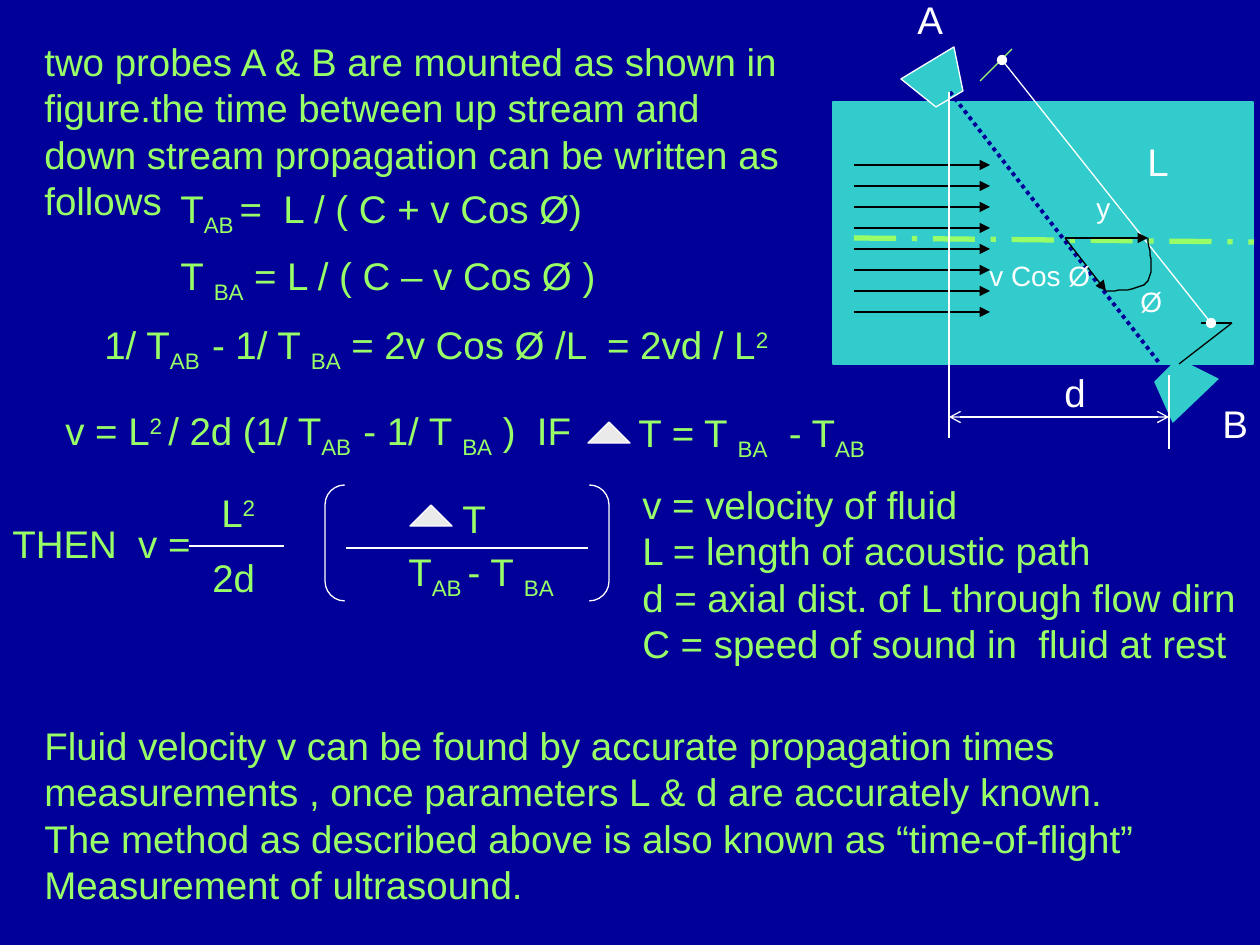
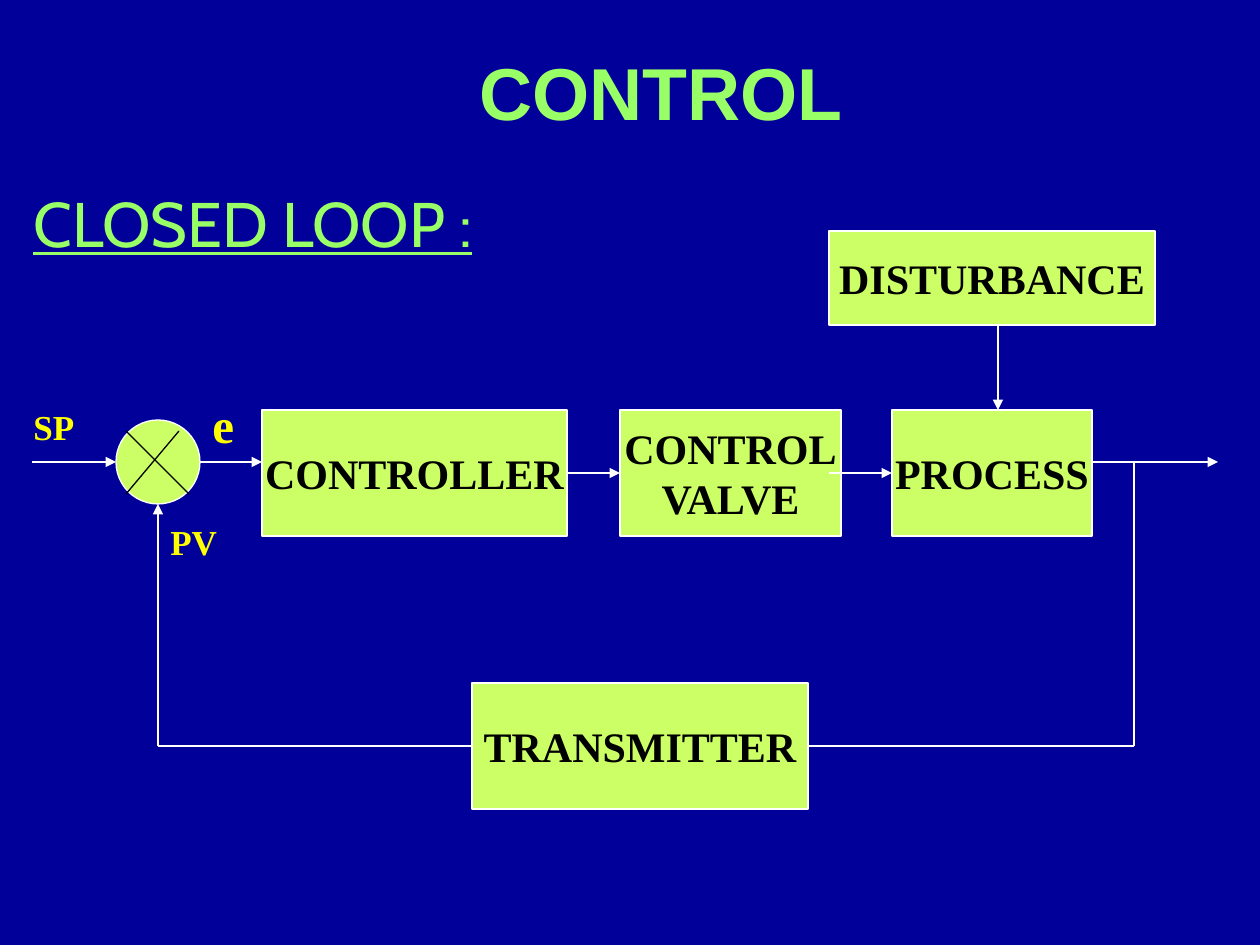
import pptx
import pptx.dml.color
import pptx.enum.dml
import pptx.enum.shapes
import pptx.enum.text
import pptx.util
from pptx.oxml.ns import qn
from lxml import etree

RGBColor = pptx.dml.color.RGBColor
SHAPE = pptx.enum.shapes.MSO_SHAPE
DASH = pptx.enum.dml.MSO_LINE
ANCHOR = pptx.enum.text.MSO_ANCHOR
CENTER = pptx.enum.text.PP_ALIGN.CENTER

NAVY = RGBColor(0x01, 0x01, 0x99)
BEAM_BLUE = RGBColor(0x00, 0x00, 0x99)
GREEN = RGBColor(0x99, 0xFF, 0x66)
LIME = RGBColor(0xCC, 0xFF, 0x66)
TEAL = RGBColor(0x33, 0xCC, 0xCC)
YELLOW = RGBColor(0xFF, 0xFF, 0x00)
GREY = RGBColor(0xEA, 0xEA, 0xEA)
WHITE = RGBColor(0xFF, 0xFF, 0xFF)
BLACK = RGBColor(0x00, 0x00, 0x00)

SANS = "Arial"
SERIF = "Times New Roman"
SCALE = 914400 / 126
LEFT, RIGHT = 1, 3
BASELINES = {"_": "-25000", "^": "30000"}


def emu(*lengths):
    return [round(length * SCALE) for length in lengths]


def style_run(run, size, color, font, bold=False):
    run.font.size = pptx.util.Pt(size)
    run.font.color.rgb = color
    run.font.name = font
    run.font.bold = bold


def write_text(frame, text, size, color, font, bold=False, align=None):
    """Fill a frame; in each line, |_x| is a subscript and |^x| a superscript."""
    for index, line in enumerate(text.split("\n")):
        para = frame.add_paragraph() if index else frame.paragraphs[0]
        para.alignment = align
        for piece in line.split("|"):
            if not piece:
                continue
            run = para.add_run()
            baseline = BASELINES.get(piece[0])
            run.text = piece[1:] if baseline else piece
            style_run(run, size, color, font, bold)
            if baseline:
                run.font._element.set("baseline", baseline)


def add_text(slide, text, place, size=22, color=GREEN, font=SANS, bold=False, wrap=True):
    box = slide.shapes.add_textbox(*emu(*place))
    box.text_frame.word_wrap = wrap
    write_text(box.text_frame, text, size, color, font, bold)
    return box


def paint(shape, fill, line):
    shape.shadow.inherit = False
    if fill is None:
        shape.fill.background()
    else:
        shape.fill.solid()
        shape.fill.fore_color.rgb = fill
    shape.line.color.rgb = line
    shape.line.width = pptx.util.Pt(0.75)


def add_shape(slide, kind, place, fill=None, line=WHITE):
    shape = slide.shapes.add_shape(kind, *emu(*place))
    paint(shape, fill, line)
    return shape


def add_outline(slide, points, fill=None, line=WHITE, close=True):
    builder = slide.shapes.build_freeform(*points[0], scale=SCALE)
    builder.add_line_segments(points[1:], close=close)
    paint(builder.convert_to_shape(), fill, line)


def add_line(slide, start, end, color=WHITE, width=0.75, dash=None, head=None, tail=None):
    line = slide.shapes.add_connector(
        pptx.enum.shapes.MSO_CONNECTOR.STRAIGHT, *emu(*start, *end))
    line.line.color.rgb = color
    line.line.width = pptx.util.Pt(width)
    if dash:
        line.line.dash_style = dash
    properties = line._element.spPr
    outline = properties.find(qn("a:ln"))
    for tag, arrow in (("a:headEnd", head), ("a:tailEnd", tail)):
        if arrow:
            etree.SubElement(outline, qn(tag), type=arrow)
    etree.SubElement(properties, qn("a:effectLst"))
    return line


def add_block(slide, text, place):
    block = add_shape(slide, SHAPE.RECTANGLE, place, LIME)
    frame = block.text_frame
    frame.word_wrap = False
    frame.vertical_anchor = ANCHOR.MIDDLE
    write_text(frame, text, 24, BLACK, SERIF, True, CENTER)
    return block


def bezier(p0, p1, p2, p3, steps=12):
    """Points along a cubic curve, without its first point."""
    points = []
    for step in range(1, steps + 1):
        t = step / steps
        u = 1 - t
        weights = (u ** 3, 3 * u * u * t, 3 * u * t * t, t ** 3)
        points.append(tuple(
            sum(w * p[axis] for w, p in zip(weights, (p0, p1, p2, p3)))
            for axis in (0, 1)))
    return points


def add_equations(slide):
    add_text(slide, "two probes A & B are mounted as shown in figure.the time between "
             "up stream and down stream propagation can be written as follows",
             (32, 32, 766, 198))
    add_text(slide, "T|_AB |=  L / ( C + v Cos Ø)", (168, 179, 546, 66))
    add_text(slide, "T |_BA| = L / ( C – v Cos Ø )", (168, 246, 464, 66))
    add_text(slide, "1/ T|_AB  |- 1/ T |_BA| = 2v Cos Ø /L  = 2vd / L|^2", (92, 315, 810, 66))
    add_text(slide, "v = L|^2 |/ 2d (1/ T|_AB  |- 1/ T |_BA| )  IF", (53, 401, 958, 66))
    add_text(slide, "v = velocity of fluid\nL = length of acoustic path\n"
             "d = axial dist. of L through flow dirn\n"
             "C = speed of sound in  fluid at rest", (630, 475, 640, 198))
    add_text(slide, "Fluid velocity v can be found by accurate propagation times "
             "measurements , once parameters L & d are accurately known.\n"
             "The method as described above is also known as “time-of-flight”\n"
             "Measurement of ultrasound.", (32, 716, 1207, 198))

    add_text(slide, "L|^2", (209, 483, 90, 59))
    for text, place in (
            ("T = T |_BA|  - T|_AB", (626, 403, 261, 66)),
            ("THEN  v =", (0, 514, 214, 59)),
            ("2d", (200, 548, 68, 59)),
            ("T", (450, 489, 48, 59)),
            ("T|_AB |- T |_BA", (396, 542, 178, 66))):
        add_text(slide, text, place, wrap=False)
    for delta_left, delta_top in ((588, 422), (410, 505)):
        add_shape(slide, SHAPE.FLOWCHART_EXTRACT, (delta_left, delta_top, 42, 21), GREY)
    add_line(slide, (189, 546), (284, 546))
    add_line(slide, (346, 548), (588, 548))
    bracket = add_shape(slide, SHAPE.DOUBLE_BRACKET, (325, 485, 284, 116))
    bracket.adjustments[0] = 0.17


def add_flow_meter(slide):
    add_shape(slide, SHAPE.RECTANGLE, (833, 102, 420, 262), TEAL, TEAL)
    add_outline(slide, [(901, 79), (936, 107), (963, 91), (954, 47)], TEAL)
    add_outline(slide, [(1218, 379), (1178, 359), (1155, 382), (1173, 422)], TEAL, TEAL)
    add_line(slide, (950, 92), (1160, 364), BEAM_BLUE, 2.25, DASH.ROUND_DOT)
    for row in range(8):
        y = 165 + 21 * row
        add_line(slide, (854, y), (990, y), BLACK, tail="triangle")
    add_line(slide, (854, 238), (1254, 242), GREEN, 3, DASH.LONG_DASH_DOT)

    add_line(slide, (980, 81), (1012, 49), GREEN)
    corner = (1232, 323)
    for end in ((1201, 323), (1179, 364)):
        add_line(slide, corner, end, BLACK)
    add_line(slide, (1002, 60), (1211, 323), head="oval", tail="oval")

    vertex, axis_tip, beam_tip = (1065, 238), (1148, 238), (1106, 291)
    bend = (1148, 281)
    angle = [beam_tip]
    angle += bezier(beam_tip, (1124, 290), (1142, 290), bend)
    angle += bezier(bend, (1155, 272), (1148, 246), axis_tip)
    add_outline(slide, angle, line=BLACK, close=False)
    for tip in (axis_tip, beam_tip):
        add_line(slide, vertex, tip, BLACK, tail="triangle")

    add_line(slide, (949, 92), (949, 438))
    add_line(slide, (1169, 375), (1169, 449))
    add_line(slide, (949, 417), (1169, 417), head="arrow", tail="arrow")

    for text, place, size in (
            ("A", (905, -10, 50, 59), 22),
            ("B", (1210, 394, 50, 59), 22),
            ("L", (1135, 132, 47, 59), 22),
            ("d", (1052, 363, 47, 59), 22),
            ("Ø", (1128, 278, 47, 47), 16),
            ("y", (1084, 184, 39, 47), 16),
            ("v Cos Ø", (977, 252, 126, 47), 16)):
        add_text(slide, text, place, size, WHITE, wrap=False)


def add_title(slide, text):
    title = slide.shapes.title
    title.left, title.top, title.width, title.height = emu(10, 37, 1302, 190)
    frame = title.text_frame
    frame.vertical_anchor = ANCHOR.TOP
    frame.margin_top = emu(10)[0]
    write_text(frame, text, 42, GREEN, SANS, True, CENTER)


def add_control_loop(slide):
    heading = add_text(slide, "CLOSED LOOP :", (21, 178, 1134, 90), 36, font="Cabin")
    heading.text_frame.paragraphs[0].runs[0].font.underline = True

    add_shape(slide, SHAPE.OVAL, (116, 420, 84, 84), LIME)
    add_line(slide, (179, 431), (126, 494), BLACK)
    add_line(slide, (126, 431), (189, 494), BLACK)

    controller = add_block(slide, "CONTROLLER", (262, 410, 305, 126))
    valve = add_block(slide, "CONTROL\nVALVE", (620, 410, 221, 126))
    process = add_block(slide, "PROCESS", (892, 410, 200, 126))
    add_block(slide, "DISTURBANCE", (829, 231, 326, 94))
    transmitter = add_block(slide, "TRANSMITTER", (472, 683, 336, 126))

    for start, end in (
            ((32, 462), (116, 462)),
            ((200, 462), (262, 462)),
            ((1092, 462), (1218, 462)),
            ((998, 325), (998, 410)),
            ((158, 746), (158, 504))):
        add_line(slide, start, end, tail="triangle")
    to_valve = add_line(slide, (567, 473), (620, 473), tail="triangle")
    to_valve.begin_connect(controller, RIGHT)
    to_valve.end_connect(valve, LEFT)
    to_process = add_line(slide, (829, 473), (892, 473), tail="triangle")
    to_process.end_connect(process, LEFT)

    add_line(slide, (1134, 462), (1134, 746))
    to_transmitter = add_line(slide, (1134, 746), (808, 746))
    to_transmitter.end_connect(transmitter, RIGHT)
    feedback = add_line(slide, (472, 746), (158, 746))
    feedback.begin_connect(transmitter, LEFT)

    for text, place, size in (
            ("PV", (158, 514, 73, 55), 20),
            ("SP", (21, 399, 73, 55), 20),
            ("e", (200, 388, 73, 72), 28)):
        add_text(slide, text, place, size, YELLOW, SERIF, True)


def main():
    deck = pptx.Presentation()
    deck.slide_width, deck.slide_height = emu(1260, 945)
    background = deck.slide_master.background.fill
    background.solid()
    background.fore_color.rgb = NAVY
    title_only, blank = deck.slide_layouts[5], deck.slide_layouts[6]

    flight_time = deck.slides.add_slide(blank)
    add_equations(flight_time)
    add_flow_meter(flight_time)

    control = deck.slides.add_slide(title_only)
    add_title(control, "CONTROL")
    add_control_loop(control)
    deck.save("out.pptx")


if __name__ == "__main__":
    main()
